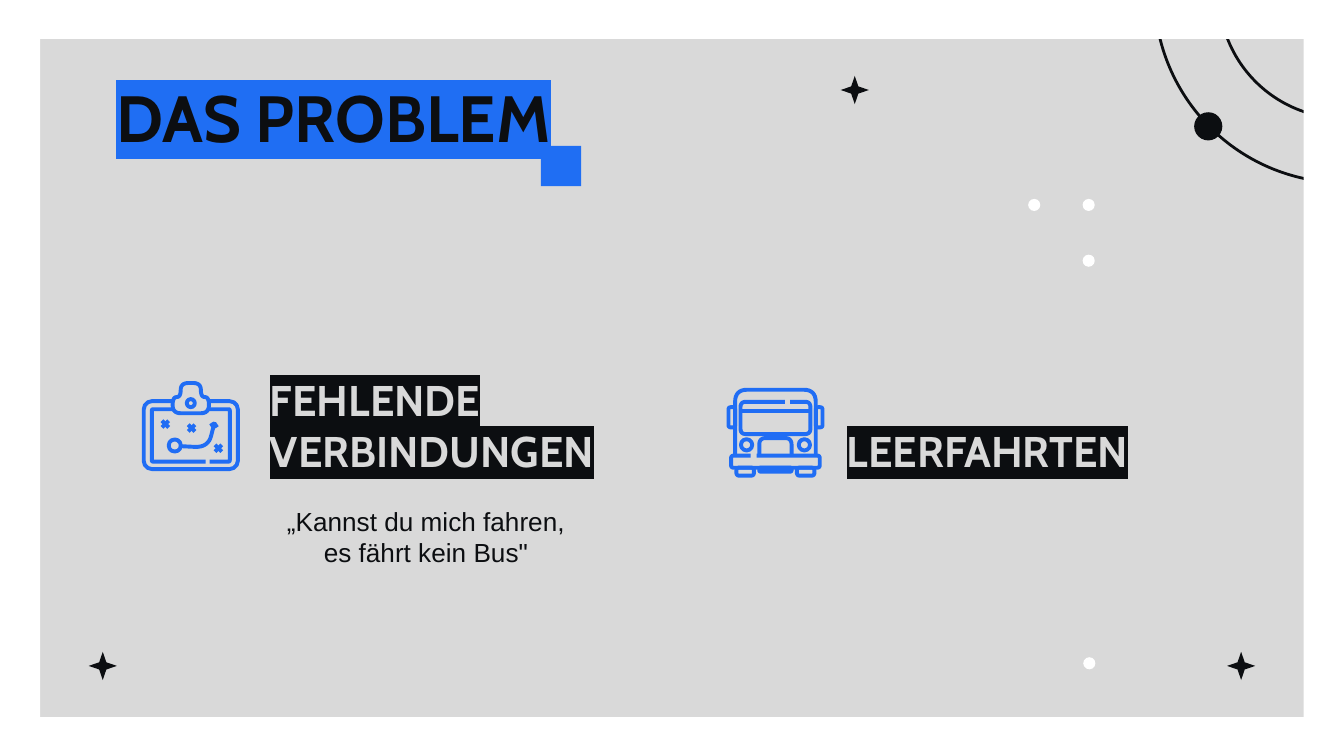
from lxml.etree import SubElement
from pptx import Presentation
from pptx.dml.color import RGBColor
from pptx.enum.shapes import MSO_CONNECTOR, MSO_SHAPE
from pptx.enum.text import MSO_ANCHOR, PP_ALIGN
from pptx.oxml.ns import qn
from pptx.util import Inches, Pt

COLUMNS = 1000
SLIDE_WIDTH = Inches(10)
SLIDE_HEIGHT = SLIDE_WIDTH * 9 // 16
CELL = SLIDE_WIDTH // COLUMNS
ROWS = SLIDE_HEIGHT / CELL
FRAME = 30
CURVE_STEPS = 8

THEME = {
    "ink": "0C0E11", "paper": "D9D9D9", "white": "FFFFFF",
    "blue": "1F6EF3", "icon": "206DF4",
    "ring_line": 1.5, "icon_line": 2.1,
    "title": {"name": "Cabin", "size": Pt(35), "bold": True},
    "heading": {"name": "Cabin", "size": Pt(23), "bold": True},
    "quote": {"name": "Arial", "size": Pt(14), "bold": False},
}

TEXTS = [
    ("DAS PROBLEM", (76.5, 47.5, 398, 139), "title", "ink", "blue",
     MSO_ANCHOR.TOP, PP_ALIGN.LEFT),
    ("FEHLENDE VERBINDUNGEN", (191, 297.5, 277, 67), "heading", "paper", "ink",
     MSO_ANCHOR.BOTTOM, PP_ALIGN.LEFT),
    ("LEERFAHRTEN", (620.4, 297.5, 253, 67), "heading", "paper", "ink",
     MSO_ANCHOR.BOTTOM, PP_ALIGN.LEFT),
    ("„Kannst du mich fahren, es fährt kein Bus\"", (192, 366, 250, 71), "quote",
     "ink", None, MSO_ANCHOR.TOP, PP_ALIGN.CENTER),
]

RING_CENTER, RING_RADII = (1000, -5), (141, 93)
RING_BEAD = (899, 94)
STARS = [(636, 67), (923.5, 495.5), (76.5, 495.5)]
DOTS = [(769.5, 152.5), (810, 152.5), (810, 194), (810.5, 493.5)]
TITLE_SQUARE = (402.5, 108.5, 30, 30)

CLIPBOARD = {
    "origin": (106, 284),
    "boxes": [(1, 14.5, 70, 50.5, 0.12)],
    "paths": [
        ([(50, 59.5), (65, 59.5), (65, 20.5), (7, 20.5), (7, 59.5), (47, 59.5)], 1),
        ([(29, 48), (49, 49), (53.5, 31)], 20),
        ([(50.5, 33), (53.5, 31), (55.5, 34)], 0),
    ],
    "filled": [([(36, 23.5), (22.5, 23.5), (22.5, 11.5), (28.5, 11.5), (28.5, 1),
                 (43.5, 1), (43.5, 11.5), (49.5, 11.5), (49.5, 23.5), (36, 23.5)], 6)],
    "circles": [(36, 16, 3), (24, 47.5, 4.5)],
    "crosses": [(17, 31.5), (36.5, 34.5), (56.5, 49.5)],
    "lines": [],
}
BUS = {
    "origin": (541, 289),
    "boxes": [(1, 14, 5, 15, 0.3), (66, 14, 5, 15, 0.3),
              (7, 59, 13, 6, 0.3), (52, 59, 13, 6, 0.3), (24, 59, 24, 3, 0.3)],
    "paths": [
        ([(43, 10), (10, 10), (10, 34), (62, 34), (62, 10), (47, 10)], 4),
        ([(6, 50), (6, 1), (66, 1), (66, 50)], 9),
        ([(24, 50), (24, 37), (48, 37), (48, 50)], 5),
        ([(17.5, 50), (3, 50), (3, 59), (69, 59), (69, 50), (22, 50)], 2),
    ],
    "filled": [],
    "circles": [(14.5, 42, 4.2), (57.5, 42, 4.2)],
    "crosses": [],
    "lines": [(10, 17, 62, 17)],
}


def color(name):
    return RGBColor.from_string(THEME[name])


def emu(*cells):
    return [round(cell * CELL) for cell in cells]


def apply_format(target, values):
    for name, value in values.items():
        setattr(target, name, value)


def paint(shape, fill=None, line=None, width=1):
    shape.shadow.inherit = False
    if fill:
        shape.fill.solid()
        shape.fill.fore_color.rgb = color(fill)
    else:
        shape.fill.background()
    if line:
        shape.line.color.rgb = color(line)
        shape.line.width = Pt(width)
    else:
        shape.line.fill.background()


def add_shape(slide, kind, box, adjustment=None, **style):
    shape = slide.shapes.add_shape(kind, *emu(*box))
    if adjustment is not None:
        shape.adjustments[0] = adjustment
    paint(shape, **style)


def add_centered(slide, kind, center, radius, adjustment=None, **style):
    box = (center[0] - radius, center[1] - radius, 2 * radius, 2 * radius)
    add_shape(slide, kind, box, adjustment, **style)


def toward(start, end, distance):
    length = ((end[0] - start[0]) ** 2 + (end[1] - start[1]) ** 2) ** 0.5
    share = min(distance / length, 0.5)
    return [a + (b - a) * share for a, b in zip(start, end)]


def round_corners(points, radius):
    result = [points[0]]
    for before, corner, after in zip(points, points[1:], points[2:]):
        entry, leave = toward(corner, before, radius), toward(corner, after, radius)
        for step in range(CURVE_STEPS + 1):
            t = step / CURVE_STEPS
            result.append([(1 - t) ** 2 * a + 2 * t * (1 - t) * b + t ** 2 * c
                           for a, b, c in zip(entry, corner, leave)])
    return result + [points[-1]]


def add_path(slide, origin, points, radius, fill=None):
    placed = [emu(origin[0] + x, origin[1] + y) for x, y in round_corners(points, radius)]
    builder = slide.shapes.build_freeform(*placed[0], scale=1.0)
    builder.add_line_segments(placed[1:], close=False)
    paint(builder.convert_to_shape(), fill, "icon", THEME["icon_line"])


def add_line(slide, ends):
    connector = slide.shapes.add_connector(MSO_CONNECTOR.STRAIGHT, *emu(*ends))
    connector.line.color.rgb = color("icon")
    connector.line.width = Pt(THEME["icon_line"])
    SubElement(connector._element.spPr, qn("a:effectLst"))


def add_icon(slide, icon):
    left, top = icon["origin"]
    stroke = {"line": "icon", "width": THEME["icon_line"]}
    for x, y, width, height, corner in icon["boxes"]:
        add_shape(slide, MSO_SHAPE.ROUNDED_RECTANGLE,
                  (left + x, top + y, width, height), corner, **stroke)
    for points, radius in icon["paths"]:
        add_path(slide, icon["origin"], points, radius)
    for points, radius in icon["filled"]:
        add_path(slide, icon["origin"], points, radius, "paper")
    for x, y, radius in icon["circles"]:
        add_centered(slide, MSO_SHAPE.OVAL, (left + x, top + y), radius, **stroke)
    strokes = [(x - 2.5, y - 2.5 * slope, x + 2.5, y + 2.5 * slope)
               for x, y in icon["crosses"] for slope in (1, -1)]
    for x1, y1, x2, y2 in strokes + icon["lines"]:
        add_line(slide, (left + x1, top + y1, left + x2, top + y2))


def add_text(slide, text, box, font, ink, highlight, anchor, alignment):
    frame = slide.shapes.add_textbox(*emu(*box)).text_frame
    margins = {f"margin_{side}": Inches(0.1) for side in ("left", "right", "top", "bottom")}
    apply_format(frame, {"word_wrap": True, "vertical_anchor": anchor, **margins})
    paragraph = frame.paragraphs[0]
    paragraph.alignment = alignment
    run = paragraph.add_run()
    run.text = text
    apply_format(run.font, THEME[font])
    run.font.color.rgb = color(ink)
    if highlight:
        properties = run._r.get_or_add_rPr()
        mark = SubElement(properties, qn("a:highlight"))
        SubElement(mark, qn("a:srgbClr"), val=THEME[highlight])
        properties.find(qn("a:solidFill")).addnext(mark)


def main():
    presentation = Presentation()
    apply_format(presentation, {"slide_width": SLIDE_WIDTH, "slide_height": SLIDE_HEIGHT})
    slide = presentation.slides.add_slide(presentation.slide_layouts[6])
    slide.background.fill.solid()
    slide.background.fill.fore_color.rgb = color("paper")

    for radius in RING_RADII:
        add_centered(slide, MSO_SHAPE.OVAL, RING_CENTER, radius,
                     line="ink", width=THEME["ring_line"])
    for box in [(0, 0, COLUMNS, FRAME - 1), (0, ROWS - FRAME + 1, COLUMNS, FRAME - 1),
                (0, 0, FRAME, ROWS), (COLUMNS - FRAME, 0, FRAME, ROWS)]:
        add_shape(slide, MSO_SHAPE.RECTANGLE, box, fill="white")
    for center in STARS:
        add_centered(slide, MSO_SHAPE.STAR_4_POINT, center, 10.5, 0.18, fill="ink")
    add_centered(slide, MSO_SHAPE.OVAL, RING_BEAD, 10.5, fill="ink")
    for text in TEXTS:
        add_text(slide, *text)
    add_shape(slide, MSO_SHAPE.RECTANGLE, TITLE_SQUARE, fill="blue")
    for center in DOTS:
        add_centered(slide, MSO_SHAPE.OVAL, center, 4.5, fill="white")
    for icon in (CLIPBOARD, BUS):
        add_icon(slide, icon)
    presentation.save("out.pptx")


if __name__ == "__main__":
    main()
